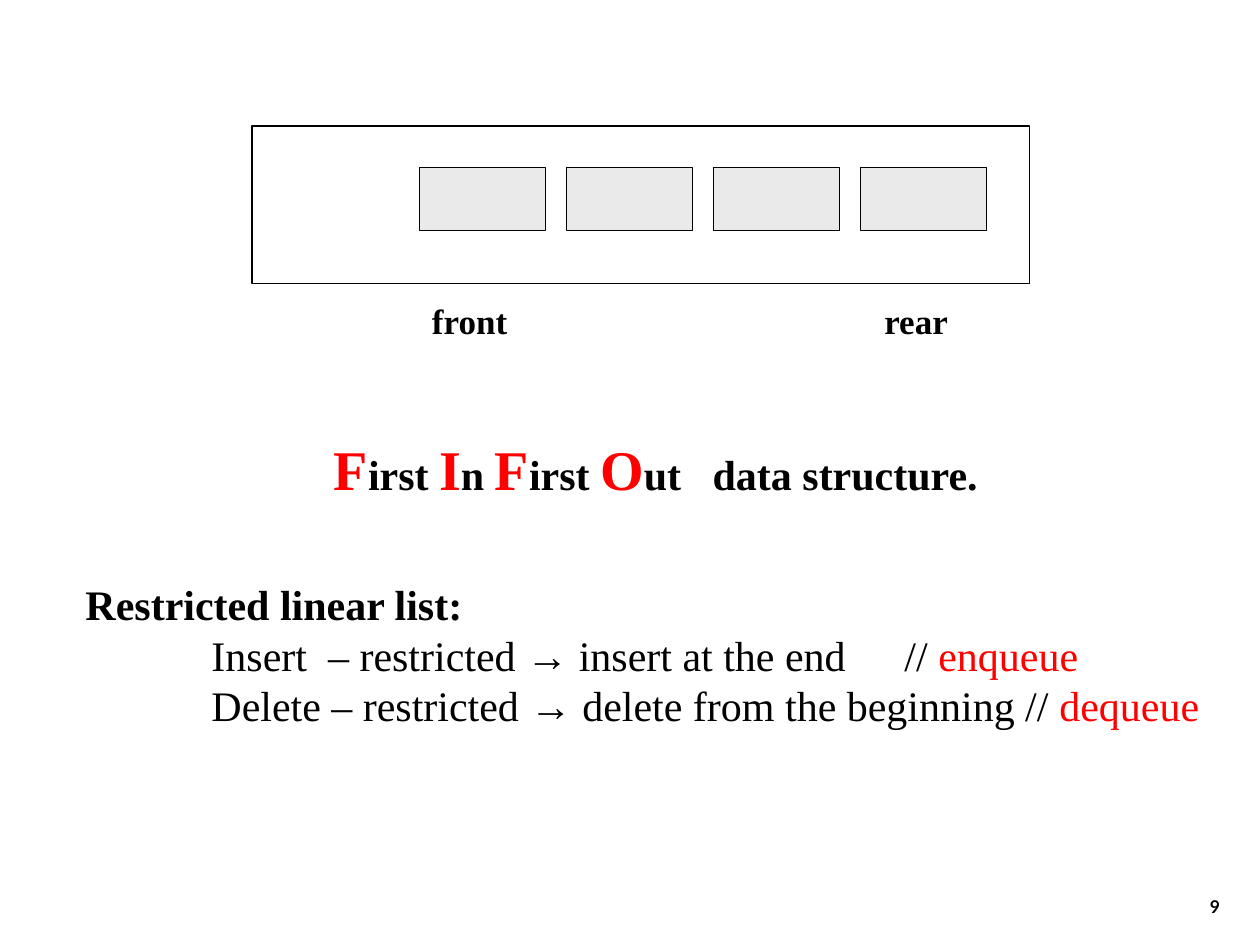
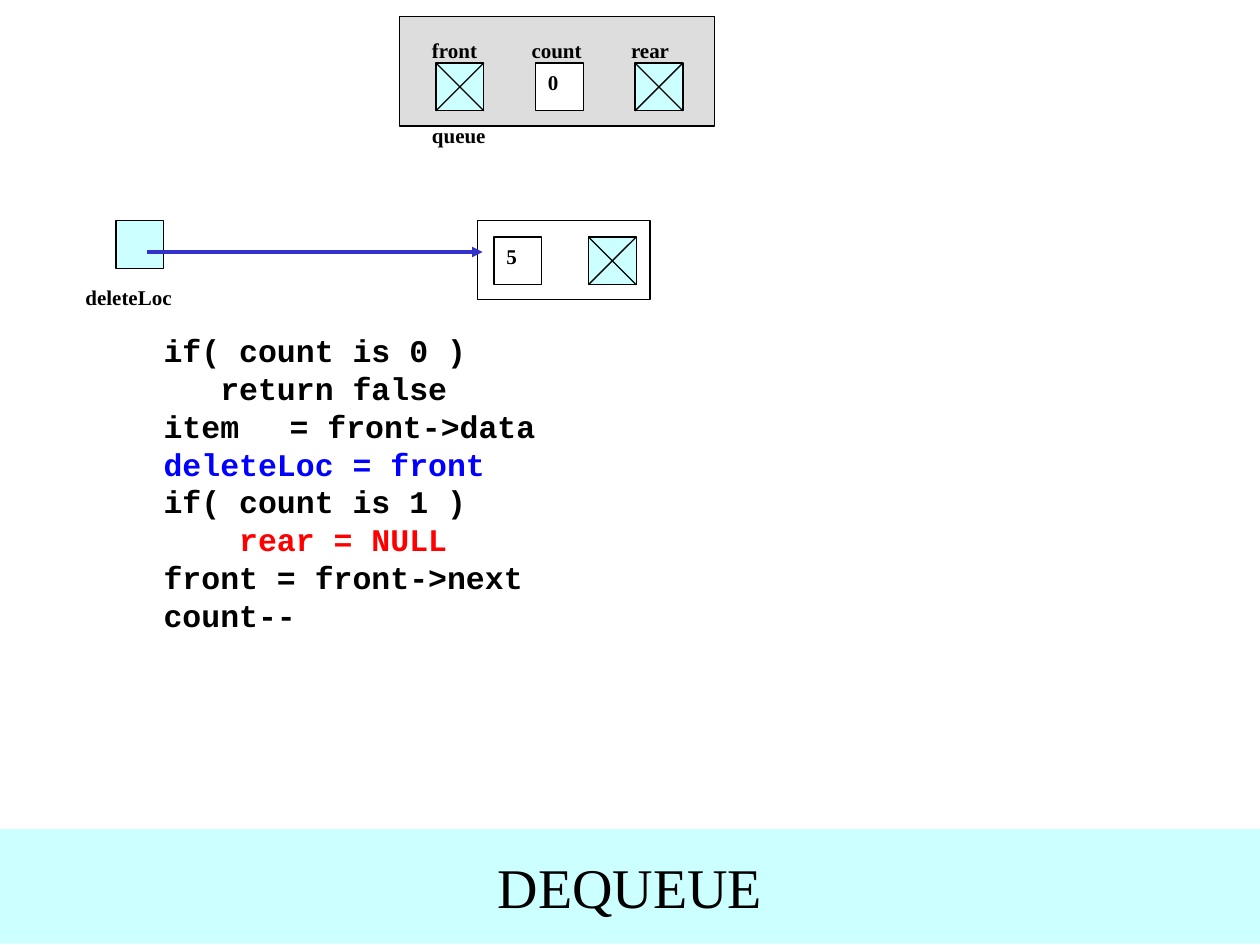
from dataclasses import dataclass

from lxml import etree
from pptx import Presentation
from pptx.dml.color import RGBColor
from pptx.enum.shapes import MSO_CONNECTOR, MSO_SHAPE
from pptx.enum.text import MSO_ANCHOR, PP_ALIGN
from pptx.oxml.ns import qn
from pptx.util import Inches, Pt

RECT = MSO_SHAPE.RECTANGLE
STRAIGHT = MSO_CONNECTOR.STRAIGHT
LEFT, CENTER, RIGHT = PP_ALIGN.LEFT, PP_ALIGN.CENTER, PP_ALIGN.RIGHT
TOP, MIDDLE, BOTTOM = MSO_ANCHOR.TOP, MSO_ANCHOR.MIDDLE, MSO_ANCHOR.BOTTOM


@dataclass(frozen=True)
class Theme:
    black: str = "000000"
    white: str = "FFFFFF"
    red: str = "FF0000"
    blue: str = "0000FF"
    arrow: str = "3333CC"
    aqua: str = "CCFFFF"
    panel: str = "DDDDDD"
    item: str = "EAEAEA"
    serif: str = "Times New Roman"
    sans: str = "Arial"
    mono: str = "Courier New"
    page: str = "Lato"
    tiny: int = 10
    small: int = 12
    code: int = 18
    label: int = 20
    body: int = 24
    title: int = 32
    thin: float = 0.75
    thick: float = 2


T = Theme()
CELL = 0.38
CHAR = 0.15  # width of one code character


def rgb(code):
    return RGBColor.from_string(code)


# Text
def style(font, size=None, color=None, bold=None, name=None):
    if size:
        font.size = Pt(size)
    if color:
        font.color.rgb = rgb(color)
    if bold is not None:
        font.bold = bold
    if name:
        font.name = name


def write(para, runs, size=T.small, color=T.black, bold=True, name=T.serif,
          align=LEFT):
    """Fill a paragraph; runs are strings or (string, own style) pairs."""
    para.alignment = align
    style(para.font, size, color, bold, name)
    for part in runs:
        text, own = (part, {}) if isinstance(part, str) else part
        run = para.add_run()
        run.text = text
        style(run.font, **own)


def indent(para, left=0, tabs=()):
    props = para._p.get_or_add_pPr()
    props.set("marL", str(Inches(left)))
    props.set("indent", "0")
    if tabs:
        stops = etree.Element(qn("a:tabLst"))
        for pos in tabs:
            etree.SubElement(stops, qn("a:tab"), pos=str(Inches(pos)), algn="l")
        props.find(qn("a:defRPr")).addprevious(stops)


def add_text(slide, left, top, width, height, anchor=TOP):
    box = slide.shapes.add_textbox(*map(Inches, (left, top, width, height)))
    frame = box.text_frame
    frame.word_wrap = True
    frame.vertical_anchor = anchor
    return frame


def next_para(frame):
    first = frame.paragraphs[0]
    return frame.add_paragraph() if first.runs else first


# Shapes
def add_box(slide, left, top, width, height, fill=None, line=True, text="",
            anchor=TOP, **kind):
    shape = slide.shapes.add_shape(
        RECT, *map(Inches, (left, top, width, height)))
    shape.shadow.inherit = False
    if fill:
        shape.fill.solid()
        shape.fill.fore_color.rgb = rgb(fill)
    else:
        shape.fill.background()
    if line:
        shape.line.color.rgb = rgb(T.black)
        shape.line.width = Pt(T.thin)
    else:
        shape.line.fill.background()
    if text:
        shape.text_frame.word_wrap = True
        shape.text_frame.vertical_anchor = anchor
        write(shape.text_frame.paragraphs[0], [text], **kind)
    return shape


def add_line(slide, x1, y1, x2, y2, color=T.black, width=T.thin, head=False):
    line = slide.shapes.add_connector(
        STRAIGHT, *map(Inches, (x1, y1, x2, y2)))
    line.line.color.rgb = rgb(color)
    line.line.width = Pt(width)
    if head:
        etree.SubElement(line.line._get_or_add_ln(), qn("a:tailEnd"),
                         type="triangle")
    etree.SubElement(line._element.spPr, qn("a:effectLst"))


def add_cell(slide, left, top, text="", fill=T.white):
    add_box(slide, left, top, CELL, CELL, fill, text=text)


def add_null(slide, left, top):
    """A pointer cell crossed out."""
    add_cell(slide, left, top, fill=T.aqua)
    right, base = left + CELL, top + CELL
    add_line(slide, left, top, right, base)
    add_line(slide, right, top, left, base)


def add_label(slide, left, top, width, text, fill):
    add_box(slide, left, top, width, CELL, fill, line=False, text=text)


# Slides
def fifo_slide(slide):
    # Queue of four items
    add_box(slide, 2, 1, 6.17, 1.25)
    for i in range(4):
        add_box(slide, 3.33 + i * 3.5 / 3, 1.33, 1, 0.5, T.item)
    for left, text in ((3.33, "front"), (6.92, "rear")):
        frame = add_text(slide, left, 2.33, 1, 0.5)
        write(frame.paragraphs[0], [text], T.label)

    # Definition and rules
    frame = add_text(slide, 0.58, 3.4, 9.25, 2.38)
    big = {"size": T.title, "color": T.red}
    write(next_para(frame),
          [("F", big), "irst ", ("I", big), "n ", ("F", big), "irst ",
           ("O", big), "ut   data structure."], T.body, align=CENTER)
    head = next_para(frame)
    write(head, ["Restricted linear list:"], T.body)
    head.space_before = Pt(44)
    rules = (("Insert  – restricted ", " insert at the end\t// ", "enqueue"),
             ("Delete – restricted ", " delete from the beginning // ",
              "dequeue"))
    for verb, place, name in rules:
        rule = next_para(frame)
        write(rule, [verb, ("→", {"name": T.sans}), place,
                     (name, {"color": T.red})], T.body, bold=False)
        indent(rule, 1, [7.41])

    # Page number
    frame = add_text(slide, 7.7, 6.83, 2.08, 0.5, BOTTOM)
    write(frame.paragraphs[0], ["9"], T.tiny, name=T.page, align=RIGHT)


def dequeue_slide(slide):
    # Queue header
    add_label(slide, 3.33, 0.92, 0.75, "queue", T.white)
    add_box(slide, 3.17, 0.13, 2.5, 0.87, T.panel)
    for i, text in enumerate(("front", "count", "rear")):
        shift = i * 0.79
        add_label(slide, 3.33 + shift, 0.25, 0.62, text, T.panel)
        if text == "count":
            add_cell(slide, 3.46 + shift, 0.5, "0")
        else:
            add_null(slide, 3.46 + shift, 0.5)

    # Node to delete and its pointer
    add_box(slide, 3.79, 1.75, 1.37, 0.63, T.white)
    add_cell(slide, 3.92, 1.88, "5")
    add_null(slide, 4.67, 1.88)
    add_label(slide, 0.58, 2.21, 0.92, "deleteLoc", T.white)
    add_cell(slide, 0.92, 1.75, fill=T.aqua)
    add_line(slide, 1.17, 2, 3.83, 2, T.arrow, T.thick, head=True)

    # Code: indent in characters, text, colour
    code = ((0, "if( count is 0 )", T.black),
            (3, "return false", T.black),
            (0, "item\t= front->data", T.black),
            (0, "deleteLoc = front", T.blue),
            (0, "if( count is 1 )", T.black),
            (4, "rear = NULL", T.red),
            (0, "front = front->next", T.black),
            (0, "count--", T.black))
    frame = add_text(slide, 1.2, 2.58, 7.63, 3.4)
    for depth, text, color in code:
        para = next_para(frame)
        write(para, [text], T.code, color, name=T.mono)
        indent(para, depth * CHAR, [10 * CHAR])

    # Title band
    add_box(slide, 0, 6.58, 10, 0.91, T.aqua, line=False, text="DEQUEUE",
            anchor=MIDDLE, size=T.title, bold=False, align=CENTER)


def main():
    deck = Presentation()
    deck.slide_width, deck.slide_height = Inches(10), Inches(7.5)
    blank = deck.slide_layouts[6]
    for build in (fifo_slide, dequeue_slide):
        build(deck.slides.add_slide(blank))
    deck.save("out.pptx")


if __name__ == "__main__":
    main()
